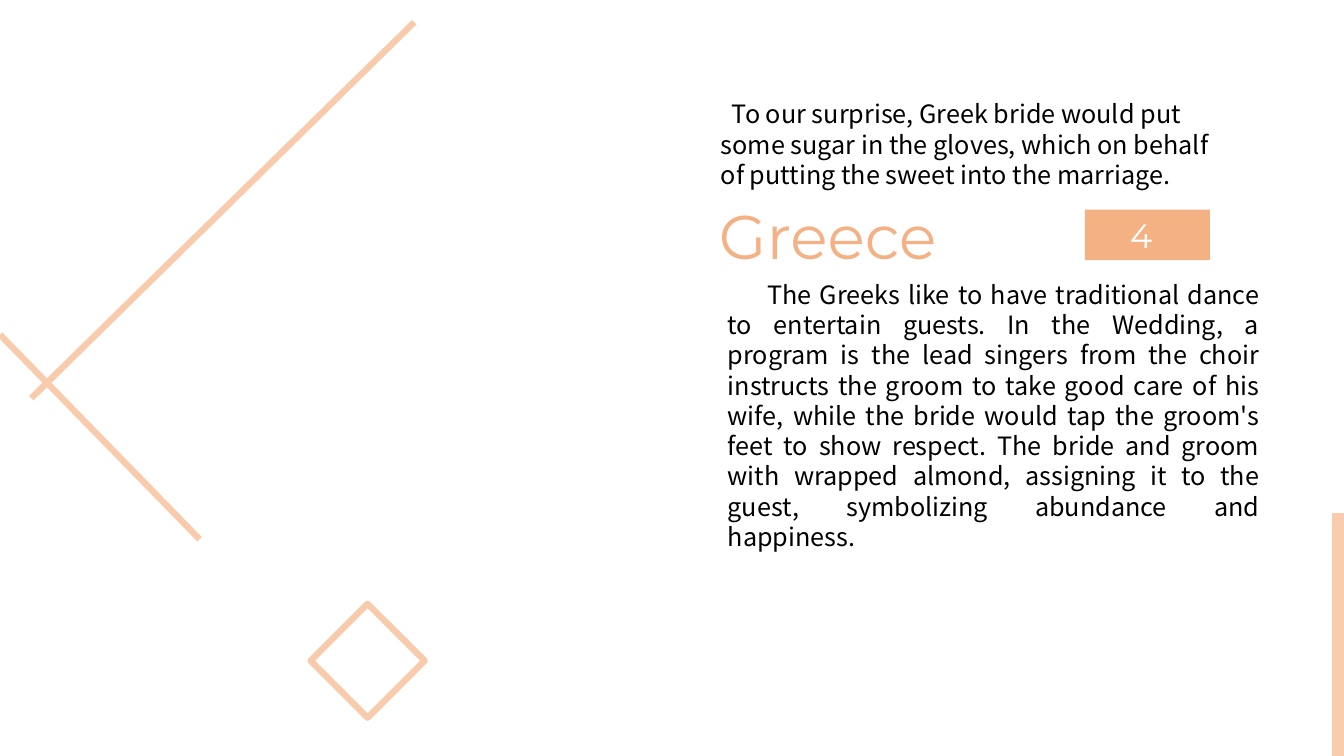
import pptx
import pptx.util
import pptx.dml.color
import pptx.enum.shapes
import pptx.enum.text
import pptx.oxml.ns
import lxml.etree

PEACH = pptx.dml.color.RGBColor(0xF8, 0xCB, 0xAD)
ORANGE = pptx.dml.color.RGBColor(0xF4, 0xB1, 0x83)
BLACK = pptx.dml.color.RGBColor(0, 0, 0)
WHITE = pptx.dml.color.RGBColor(255, 255, 255)
SHAPES = pptx.enum.shapes.MSO_SHAPE
ALIGN = pptx.enum.text.PP_ALIGN
Pt = pptx.util.Pt

deck = pptx.Presentation()
deck.slide_width = pptx.util.Inches(13.33)
deck.slide_height = pptx.util.Inches(7.5)
slide = deck.slides.add_slide(deck.slide_layouts[5])


def share(*percents):
    """Turn alternating x and y percentages of the slide into lengths."""
    sides = (deck.slide_width, deck.slide_height)
    return [round(sides[i % 2] * p / 100) for i, p in enumerate(percents)]


def write(holder, text, font="Noto Sans CJK SC", size=18, color=BLACK,
          align=ALIGN.LEFT, indent=0, pitch=None):
    """Put one formatted paragraph into a shape; indent is in inches."""
    frame = holder.text_frame
    frame.word_wrap = True
    frame.auto_size = pptx.enum.text.MSO_AUTO_SIZE.SHAPE_TO_FIT_TEXT
    frame.vertical_anchor = pptx.enum.text.MSO_ANCHOR.TOP
    paragraph = frame.paragraphs[0]
    paragraph.alignment = align
    if pitch:
        paragraph.line_spacing = Pt(pitch)
    paragraph._p.get_or_add_pPr().set("indent", str(pptx.util.Inches(indent)))
    run = paragraph.add_run()
    run.text = text
    run.font.name = font
    run.font.size = Pt(size)
    run.font.color.rgb = color


# Country heading and its number
country = slide.shapes.title
country.left, country.top, country.width, country.height = share(52.74, 25.47, 26.56, 11.2)
write(country, "Greece", font="Montserrat", size=44, color=ORANGE)

number = slide.shapes.add_shape(SHAPES.RECTANGLE, *share(80.72, 27.73, 9.3, 6.67))
number.shadow.inherit = False
number.fill.solid()
number.fill.fore_color.rgb = ORANGE
number.line.fill.background()
write(number, "4", font="Montserrat", size=24, color=WHITE, indent=0.35)

# Wedding customs
sugar = slide.shapes.add_textbox(*share(52.89, 12.4, 39.91, 13.47))
write(sugar, "To our surprise, Greek bride would put some sugar in the gloves, "
      "which on behalf of putting the sweet into the marriage.",
      indent=0.11, pitch=21.6)

dance = slide.shapes.add_textbox(*share(53.41, 36.27, 41.04, 33.6))
write(dance, "The Greeks like to have traditional dance to entertain guests. "
      "In the Wedding, a program is the lead singers from the choir instructs "
      "the groom to take good care of his wife, while the bride would tap the "
      "groom's feet to show respect. The bride and groom with wrapped almond, "
      "assigning it to the guest, symbolizing abundance and happiness.",
      align=ALIGN.JUSTIFY, indent=0.39, pitch=21.6)

# Decorative strokes: edge bar, long diagonal, short diagonal
for ends, weight in (
    ((99.62, 67.87, 99.62, 100), 10.25),
    ((30.83, 2.93, 2.33, 52.67), 4.5),
    ((14.85, 71.33, 0, 44.27), 4.5),
):
    stroke = slide.shapes.add_connector(
        pptx.enum.shapes.MSO_CONNECTOR.STRAIGHT, *share(*ends))
    stroke.line.color.rgb = PEACH
    stroke.line.width = Pt(weight)
    lxml.etree.SubElement(stroke._element.spPr, pptx.oxml.ns.qn("a:effectLst"))

diamond = slide.shapes.add_shape(SHAPES.DIAMOND, *share(23.11, 79.87, 8.48, 15.07))
diamond.shadow.inherit = False
diamond.fill.background()
diamond.line.color.rgb = PEACH
diamond.line.width = Pt(4.5)

deck.save("out.pptx")
